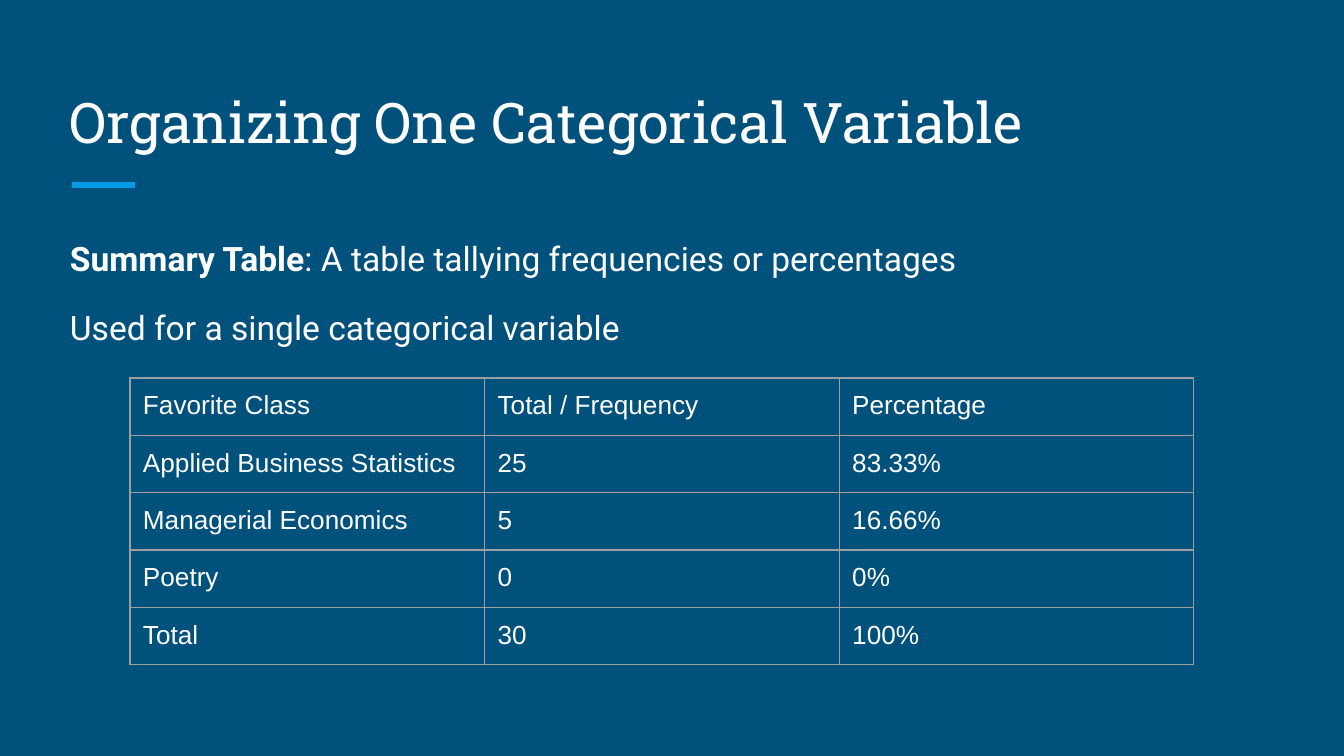
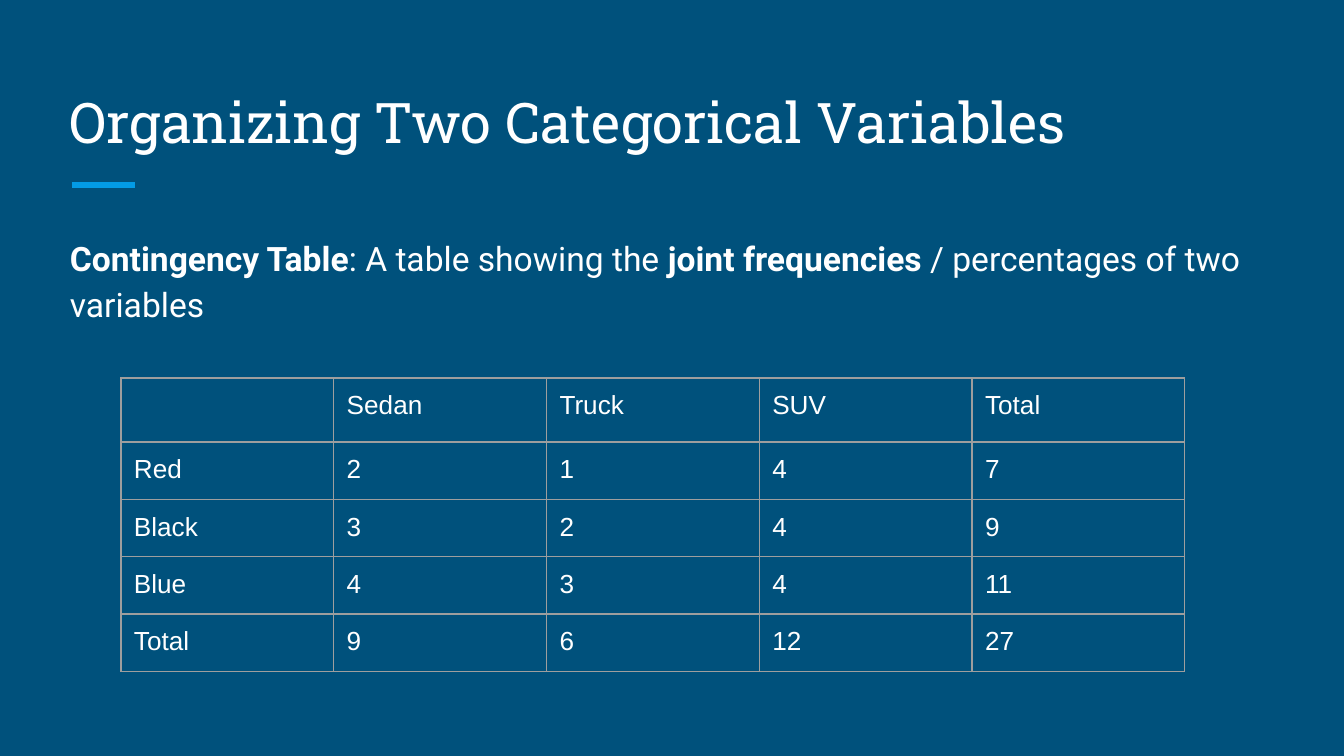
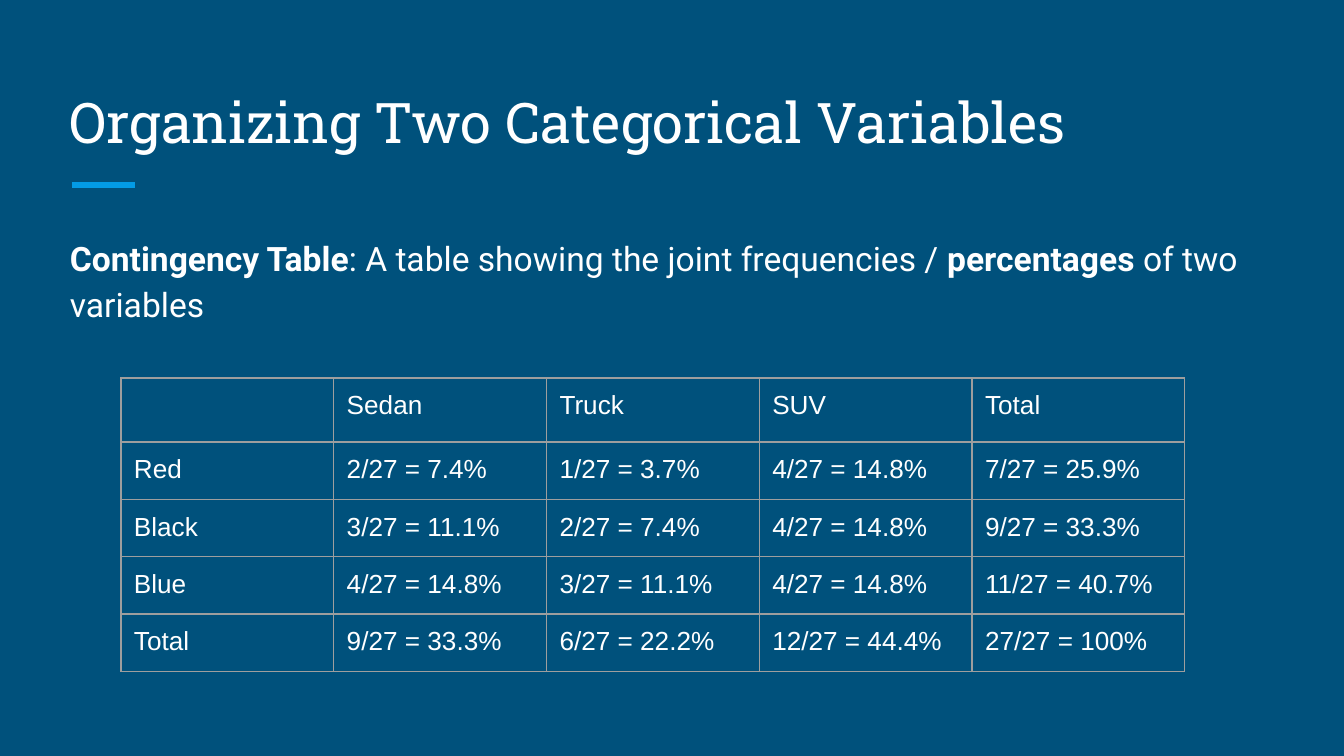
from pptx import Presentation
from pptx.dml.color import RGBColor
from pptx.enum.shapes import MSO_CONNECTOR
from pptx.enum.text import MSO_ANCHOR
from pptx.oxml.ns import qn
from pptx.util import Emu, Pt
from lxml.etree import SubElement

COLORS = {"background": "00517C", "accent": "039BE5", "text": "FFFFFF", "grid": "9E9E9E"}
TITLE_FONT, BODY_FONT, TABLE_FONT = ("Roboto Slab", 30), ("Roboto", 18), ("Arial", 14)
EMU_PER_PX = 914400 / 134.4

SLIDE_W, SLIDE_H = 1344, 756
TITLE_BOX = (57, 67, 1230, 101)
BODY_BOX = (57, 219, 1230, 453)
ACCENT_X, ACCENT_END, ACCENT_Y = 72, 135, 185
TABLE_TOP, TABLE_W, ROW_H = 378, 1064, 56

FAVORITES = [
    ["Favorite Class", "Total / Frequency", "Percentage"],
    ["Applied Business Statistics", "25", "83.33%"],
    ["Managerial Economics", "5", "16.66%"],
    ["Poetry", "0", "0%"],
    ["Total", "30", "100%"],
]
CAR_HEADER = ["", "Sedan", "Truck", "SUV", "Total"]
CAR_COUNTS = {
    "Red": [2, 1, 4, 7],
    "Black": [3, 2, 4, 9],
    "Blue": [4, 3, 4, 11],
    "Total": [9, 6, 12, 27],
}
CAR_TOTAL = CAR_COUNTS["Total"][-1]


def share(count):
    return f"{count}/{CAR_TOTAL} = {round(100 * count / CAR_TOTAL, 1):g}%"


def car_rows(show):
    """Contingency table rows, with each count written by show."""
    return [CAR_HEADER] + [[color, *map(show, counts)] for color, counts in CAR_COUNTS.items()]


# Each body paragraph is a list of (text, bold) runs.
SLIDES = [
    {
        "title": "Organizing One Categorical Variable",
        "body": [
            [("Summary Table", True), (": A table tallying frequencies or percentages", False)],
            [("Used for a single categorical variable", False)],
        ],
        "rows": FAVORITES, "table_left": 130, "header_h": ROW_H,
    },
    {
        "title": "Organizing Two Categorical Variables",
        "body": [[
            ("Contingency Table", True), (": A table showing the ", False),
            ("joint frequencies", True), (" / percentages of two variables", False),
        ]],
        "rows": car_rows(str), "table_left": 121, "header_h": 64,
    },
    {
        "title": "Organizing Two Categorical Variables",
        "body": [[
            ("Contingency Table", True), (": A table showing the joint frequencies / ", False),
            ("percentages", True), (" of two variables", False),
        ]],
        "rows": car_rows(share), "table_left": 121, "header_h": 64,
    },
]


def px(n):
    return Emu(round(n * EMU_PER_PX))


def rgb(name):
    return RGBColor.from_string(COLORS[name])


def set_font(p, font):
    p.font.name, p.font.size = font[0], Pt(font[1])
    p.font.color.rgb = rgb("text")


def set_margins(frame):
    """Give a text frame or a table cell the shared inset."""
    frame.margin_left = frame.margin_right = px(13)
    frame.margin_top = frame.margin_bottom = px(13)


def add_text(slide, box, paragraphs, font, anchor=MSO_ANCHOR.TOP, line_spacing=1.0):
    tf = slide.shapes.add_textbox(*map(px, box)).text_frame
    tf.word_wrap = True
    tf.vertical_anchor = anchor
    set_margins(tf)
    for i, runs in enumerate(paragraphs):
        p = tf.add_paragraph() if i else tf.paragraphs[0]
        set_font(p, font)
        p.line_spacing = line_spacing
        p.space_before = Pt(12 if i else 0)
        for text, bold in runs:
            r = p.add_run()
            r.text, r.font.bold = text, bold


def add_accent(slide):
    y = px(ACCENT_Y)
    s = slide.shapes.add_connector(MSO_CONNECTOR.STRAIGHT, px(ACCENT_X), y, px(ACCENT_END), y)
    s.line.color.rgb = rgb("accent")
    s.line.width = Pt(3)
    SubElement(s._element.spPr, qn("a:effectLst"))


def style_cell(cell):
    """Draw the cell's four borders and leave its fill empty."""
    tc_pr = cell._tc.get_or_add_tcPr()
    for side in "LRTB":
        ln = SubElement(tc_pr, qn(f"a:ln{side}"), w=str(Pt(0.75)))
        fill = SubElement(ln, qn("a:solidFill"))
        SubElement(fill, qn("a:srgbClr"), val=COLORS["grid"])
    cell.fill.background()
    set_margins(cell)


def add_grid(slide, rows, left, header_h):
    n_rows, n_cols = len(rows), len(rows[0])
    heights = [header_h] + [ROW_H] * (n_rows - 1)
    table = slide.shapes.add_table(
        n_rows, n_cols, px(left), px(TABLE_TOP), px(TABLE_W), px(sum(heights))).table
    table.first_row = table.horz_banding = False
    for column in table.columns:
        column.width = px(TABLE_W / n_cols)
    for row, height, texts in zip(table.rows, heights, rows):
        row.height = px(height)
        for cell, text in zip(row.cells, texts):
            style_cell(cell)
            cell.text = text
            set_font(cell.text_frame.paragraphs[0], TABLE_FONT)


def main():
    prs = Presentation()
    prs.slide_width, prs.slide_height = px(SLIDE_W), px(SLIDE_H)
    background = prs.slide_master.background.fill
    background.solid()
    background.fore_color.rgb = rgb("background")
    for content in SLIDES:
        slide = prs.slides.add_slide(prs.slide_layouts[6])
        add_accent(slide)
        add_text(slide, TITLE_BOX, [[(content["title"], False)]], TITLE_FONT, MSO_ANCHOR.BOTTOM)
        add_text(slide, BODY_BOX, content["body"], BODY_FONT, line_spacing=1.15)
        add_grid(slide, content["rows"], content["table_left"], content["header_h"])
    prs.save("out.pptx")


if __name__ == "__main__":
    main()
